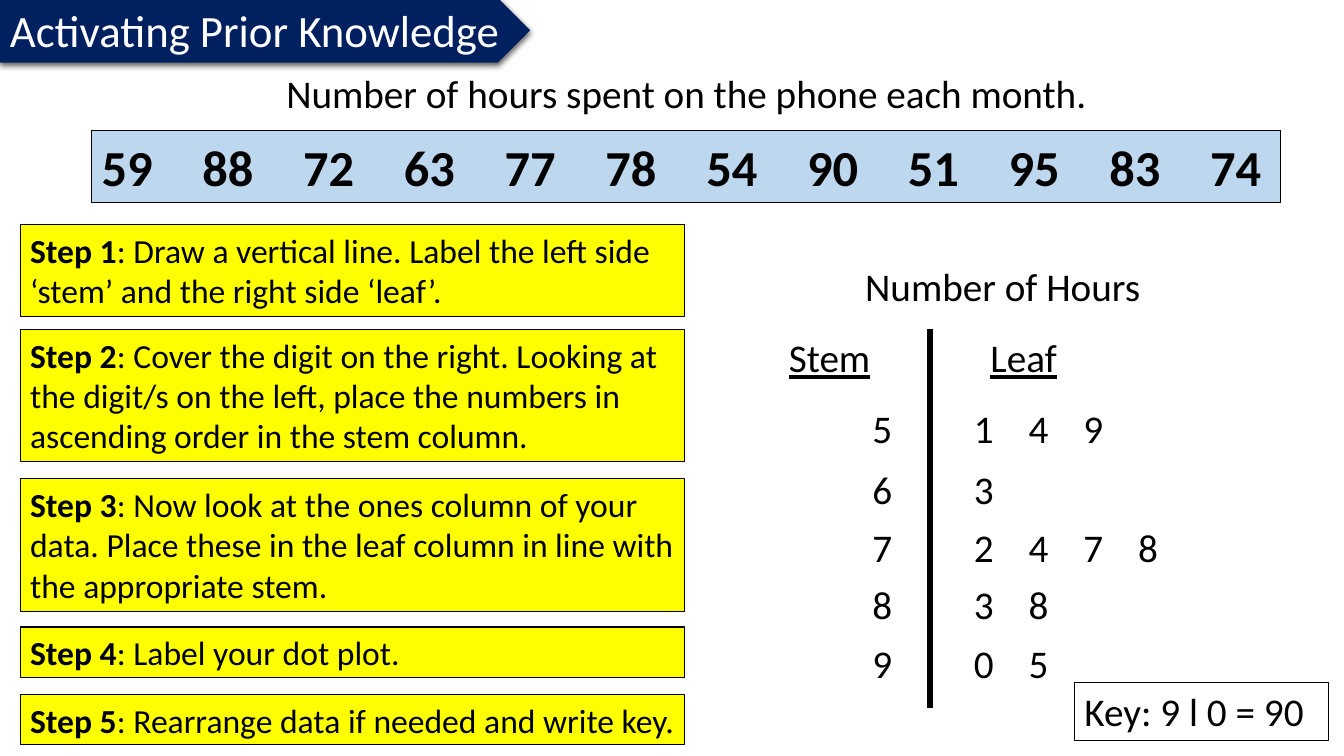
"""Build a slide on making a stem-and-leaf plot."""
from lxml import etree
from pptx import Presentation
from pptx.dml.color import RGBColor
from pptx.enum.shapes import MSO_CONNECTOR, MSO_SHAPE
from pptx.enum.text import MSO_ANCHOR, MSO_AUTO_SIZE, PP_ALIGN
from pptx.oxml import parse_xml
from pptx.oxml.ns import nsdecls, qn
from pptx.util import Cm, Pt

RECT, PENTAGON = MSO_SHAPE.RECTANGLE, MSO_SHAPE.PENTAGON
STRAIGHT = MSO_CONNECTOR.STRAIGHT
LEFT, CENTER = PP_ALIGN.LEFT, PP_ALIGN.CENTER
TOP, FIT = MSO_ANCHOR.TOP, MSO_AUTO_SIZE.SHAPE_TO_FIT_TEXT

FONT = "Calibri"
BLACK, WHITE, NAVY = "000000", "FFFFFF", "002060"
YELLOW, PALE_BLUE = "FFFF00", "BDD7EE"
LINE_H = 1.45

HOURS = [59, 88, 72, 63, 77, 78, 54, 90, 51, 95, 83, 74]
STEM_TOPS = {5: 10.06, 6: 11.61, 7: 13.06, 8: 14.5, 9: 15.98}
STEPS = [
    (5.66, 2.31, "Draw a vertical line. Label the left side ‘stem’ and the right side ‘leaf’."),
    (8.31, 3.33, "Cover the digit on the right. Looking at the digit/s on the left, "
                 "place the numbers in ascending order in the stem column."),
    (12.07, 3.33, "Now look at the ones column of your data. Place these in the leaf "
                  "column in line with the appropriate stem."),
    (15.8, 1.27, "Label your dot plot."),
    (17.5, 1.27, "Rearrange data if needed and write key."),
]


def rgb(value):
    """Turn a hex string into a colour."""
    return RGBColor.from_string(value)


def add_run(p, text, size=28, color=BLACK, bold=False, underline=False):
    """Add a formatted run to a paragraph."""
    r = p.add_run()
    r.text = text
    r.font.name, r.font.size = FONT, Pt(size)
    r.font.bold, r.font.underline = bold, underline
    r.font.color.rgb = rgb(color)


class Slide:
    """Draw the elements of one slide in a shared style."""

    def __init__(self, prs):
        """Add a blank slide."""
        self.shapes = prs.slides.add_slide(prs.slide_layouts[6]).shapes

    def fill_text(self, sp, runs, align, wrap=True):
        """Write runs of (text, format) into a shape."""
        tf = sp.text_frame
        tf.word_wrap, tf.auto_size, tf.vertical_anchor = wrap, FIT, TOP
        p = tf.paragraphs[0]
        p.alignment = align
        for text, style in runs:
            add_run(p, text, **style)

    def label(self, x, y, w, text, align=CENTER, **style):
        """Add a one-line text box."""
        sp = self.shapes.add_textbox(Cm(x), Cm(y), Cm(w), Cm(LINE_H))
        self.fill_text(sp, [(text, style)], align)

    def box(self, x, y, w, h, runs, fill=None):
        """Add an outlined rectangle with text."""
        sp = self.shapes.add_shape(RECT, Cm(x), Cm(y), Cm(w), Cm(h))
        sp.shadow.inherit = False
        if fill:
            sp.fill.solid()
            sp.fill.fore_color.rgb = rgb(fill)
        else:
            sp.fill.background()
        sp.line.color.rgb, sp.line.width = rgb(BLACK), Pt(0.75)
        self.fill_text(sp, runs, LEFT)

    def banner(self, x, y, w, h, text):
        """Add the heading arrow with a soft shadow."""
        sp = self.shapes.add_shape(PENTAGON, Cm(x), Cm(y), Cm(w), Cm(h))
        sp.shadow.inherit = False
        sp.fill.solid()
        sp.fill.fore_color.rgb = rgb(NAVY)
        sp.line.fill.background()
        effects = sp._element.spPr.find(qn("a:effectLst"))
        effects.append(parse_xml(
            f'<a:outerShdw {nsdecls("a")} blurRad="{Pt(4.5)}" dist="{Pt(1.5)}" '
            f'dir="5400000" algn="ctr" rotWithShape="0"><a:srgbClr val="{BLACK}">'
            '<a:alpha val="63000"/></a:srgbClr></a:outerShdw>'))
        self.fill_text(sp, [(text, dict(size=32, color=WHITE))], LEFT, wrap=False)

    def divider(self, x, top, bottom):
        """Add a thick vertical line."""
        s = self.shapes.add_connector(STRAIGHT, Cm(x), Cm(top), Cm(x), Cm(bottom))
        s.line.color.rgb, s.line.width = rgb(BLACK), Pt(4.5)
        etree.SubElement(s._element.spPr, qn("a:effectLst"))


def main():
    """Build and save the slide."""
    prs = Presentation()
    prs.slide_width, prs.slide_height = Cm(33.87), Cm(19.05)
    s = Slide(prs)

    s.label(17.27, 6.48, 16, "Number of Hours")
    s.divider(23.44, 8.28, 17.83)
    for x, heading in ((19.63, "Stem"), (24.71, "Leaf")):
        s.label(x, 8.28, 2.67, heading, align=LEFT, underline=True)
    for stem, y in STEM_TOPS.items():
        s.label(21.56, y, 1.35, str(stem))
        leaves = sorted(n % 10 for n in HOURS if n // 10 == stem)
        for i, leaf in enumerate(leaves):
            s.label(24.12 + 1.38 * i, y, 1.35, str(leaf))

    data = "\t".join(str(n) for n in HOURS)
    s.box(2.31, 3.3, 29.97, 1.8, [(data, dict(size=36, bold=True))], PALE_BLUE)
    s.label(2.31, 1.63, 29.97, "Number of hours spent on the phone each month.")
    s.box(27.08, 17.2, 6.4, LINE_H, [("Key: 9 l 0 = 90", {})])
    for i, (y, h, text) in enumerate(STEPS, 1):
        runs = [(f"Step {i}", dict(size=24, bold=True)), (f": {text}", dict(size=24))]
        s.box(0.51, y, 16.74, h, runs, YELLOW)
    s.banner(0, -0.05, 13.36, 1.63, "Activating Prior Knowledge")

    prs.save("out.pptx")


if __name__ == "__main__":
    main()
